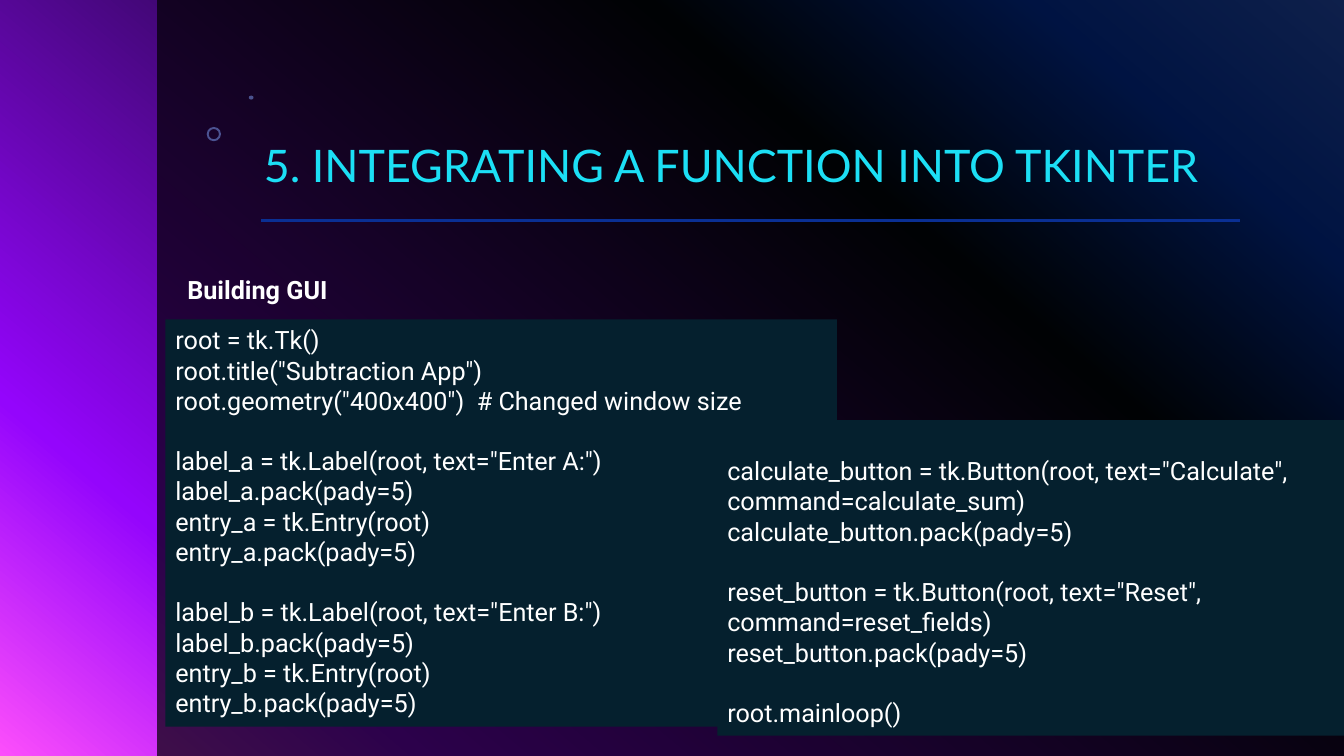
"""Build a slide on integrating a function into a Tkinter window."""
from lxml import etree
from pptx import Presentation
from pptx.dml.color import RGBColor
from pptx.enum.shapes import MSO_CONNECTOR, MSO_SHAPE
from pptx.enum.text import MSO_ANCHOR, PP_ALIGN
from pptx.oxml.ns import qn
from pptx.util import Cm, Pt

RECT, OVAL, RING = MSO_SHAPE.RECTANGLE, MSO_SHAPE.OVAL, MSO_SHAPE.DONUT
TOP, BOTTOM, LEFT = MSO_ANCHOR.TOP, MSO_ANCHOR.BOTTOM, PP_ALIGN.LEFT

TITLE = "5. INTEGRATING A FUNCTION INTO TKINTER"
HEADING = "Building GUI"
WINDOW_CODE = [
    ['root = tk.Tk()',
     'root.title("Subtraction App")',
     'root.geometry("400x400")  # Changed window size'],
    ['label_a = tk.Label(root, text="Enter A:")',
     'label_a.pack(pady=5)',
     'entry_a = tk.Entry(root)',
     'entry_a.pack(pady=5)'],
    ['label_b = tk.Label(root, text="Enter B:")',
     'label_b.pack(pady=5)',
     'entry_b = tk.Entry(root)',
     'entry_b.pack(pady=5)'],
]
BUTTON_CODE = [
    ['calculate_button = tk.Button(root, text="Calculate", command=calculate_sum)',
     'calculate_button.pack(pady=5)'],
    ['reset_button = tk.Button(root, text="Reset", command=reset_fields)',
     'reset_button.pack(pady=5)'],
    ['root.mainloop()'],
]
GRADIENT = [(0, "316CFC"), (14, "0343DF"), (31, "02090E"), (81, "9405FC"), (100, "FC4EFB")]
GRADIENT_ANGLE = 130

DECOR = [
    (RECT, (3.96, 0, 29.91, 19.05), "000000", 70),
    (RING, (5.21, 3.2, 0.36, 0.36), "83A7FD", 49),
    (OVAL, (6.27, 2.41, 0.12, 0.1), "83A7FD", 49),
]
CODE_BOXES = [
    ((4.17, 8.05, 16.92, 10.26), 0.13, WINDOW_CODE),
    ((18.08, 10.59, 16.92, 7.95), 0.89, BUTTON_CODE),
]
LINE_HEIGHT = Pt(21.6)
TITLE_FONT = {"name": "Lato", "size": Pt(32)}
HEADING_FONT = {"name": "Roboto", "size": Pt(18), "bold": True}
CODE_FONT = {"name": "Roboto", "size": Pt(18)}


def rgb(value):
    return RGBColor.from_string(value)


def add_filled(s, kind, box, color, opacity=100):
    sp = s.shapes.add_shape(kind, *map(Cm, box))
    sp.shadow.inherit = False
    sp.fill.solid()
    sp.fill.fore_color.rgb = rgb(color)
    sp.line.fill.background()
    if opacity < 100:
        clr = sp.element.spPr.find(".//" + qn("a:srgbClr"))
        etree.SubElement(clr, qn("a:alpha"), val=str(opacity * 1000))
    return sp


def write(sp, groups, font, color, frame, spacing=None):
    tf = sp.text_frame
    for key, value in {"word_wrap": True, **frame}.items():
        setattr(tf, key, value)
    lines = [(text, g > 0 and i == 0)
             for g, group in enumerate(groups) for i, text in enumerate(group)]
    for n, (text, gap) in enumerate(lines):
        p = tf.add_paragraph() if n else tf.paragraphs[0]
        p.alignment = LEFT
        if spacing:
            p.line_spacing = spacing
        if gap:
            p.space_before = LINE_HEIGHT
        r = p.add_run()
        r.text = text
        for key, value in font.items():
            setattr(r.font, key, value)
        r.font.color.rgb = rgb(color)


def paint_background(s):
    fill = s.background.fill
    fill.gradient()
    fill.gradient_angle = 360 - GRADIENT_ANGLE
    stops = s.element.find(".//" + qn("a:gsLst"))
    for stop in list(stops):
        stops.remove(stop)
    for pos, color in GRADIENT:
        stop = etree.SubElement(stops, qn("a:gs"), pos=str(pos * 1000))
        etree.SubElement(stop, qn("a:srgbClr"), val=color)


def main():
    prs = Presentation()
    prs.slide_width, prs.slide_height = Cm(33.87), Cm(19.05)
    s = prs.slides.add_slide(prs.slide_layouts[6])
    paint_background(s)

    for kind, box, color, opacity in DECOR:
        sp = add_filled(s, kind, box, color, opacity)
        if kind == RING:
            sp.adjustments[0] = 0.14

    rule = s.shapes.add_connector(MSO_CONNECTOR.STRAIGHT, *map(Cm, (6.58, 5.56, 31.24, 5.56)))
    rule.line.color.rgb = rgb("0A2F93")
    rule.line.width = Pt(2)
    etree.SubElement(rule.element.spPr, qn("a:effectLst"))

    title = s.shapes.add_textbox(*map(Cm, (6.65, 0.46, 24.56, 4.5)))
    write(title, [[TITLE]], TITLE_FONT, "1CDFF5",
          {"vertical_anchor": BOTTOM, "margin_left": 0}, 0.9)
    heading = s.shapes.add_textbox(*map(Cm, (4.47, 6.78, 4.47, 1.02)))
    write(heading, [[HEADING]], HEADING_FONT, "FFFFFF", {"vertical_anchor": TOP})

    for box, margin, code in CODE_BOXES:
        sp = add_filled(s, RECT, box, "05202E")
        write(sp, code, CODE_FONT, "FFFFFF",
              {"vertical_anchor": TOP, "margin_top": Cm(margin)})

    prs.save("out.pptx")


if __name__ == "__main__":
    main()
